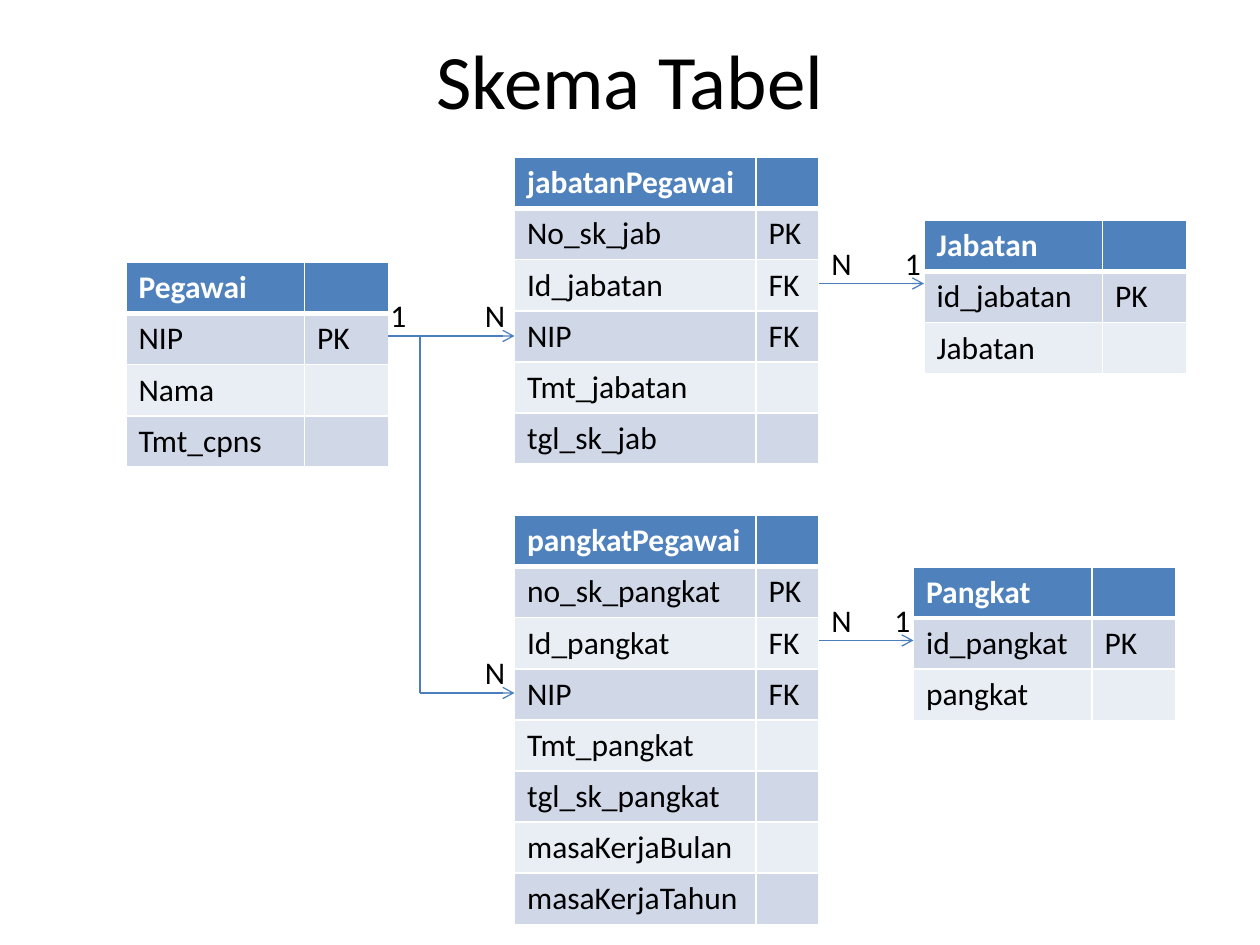
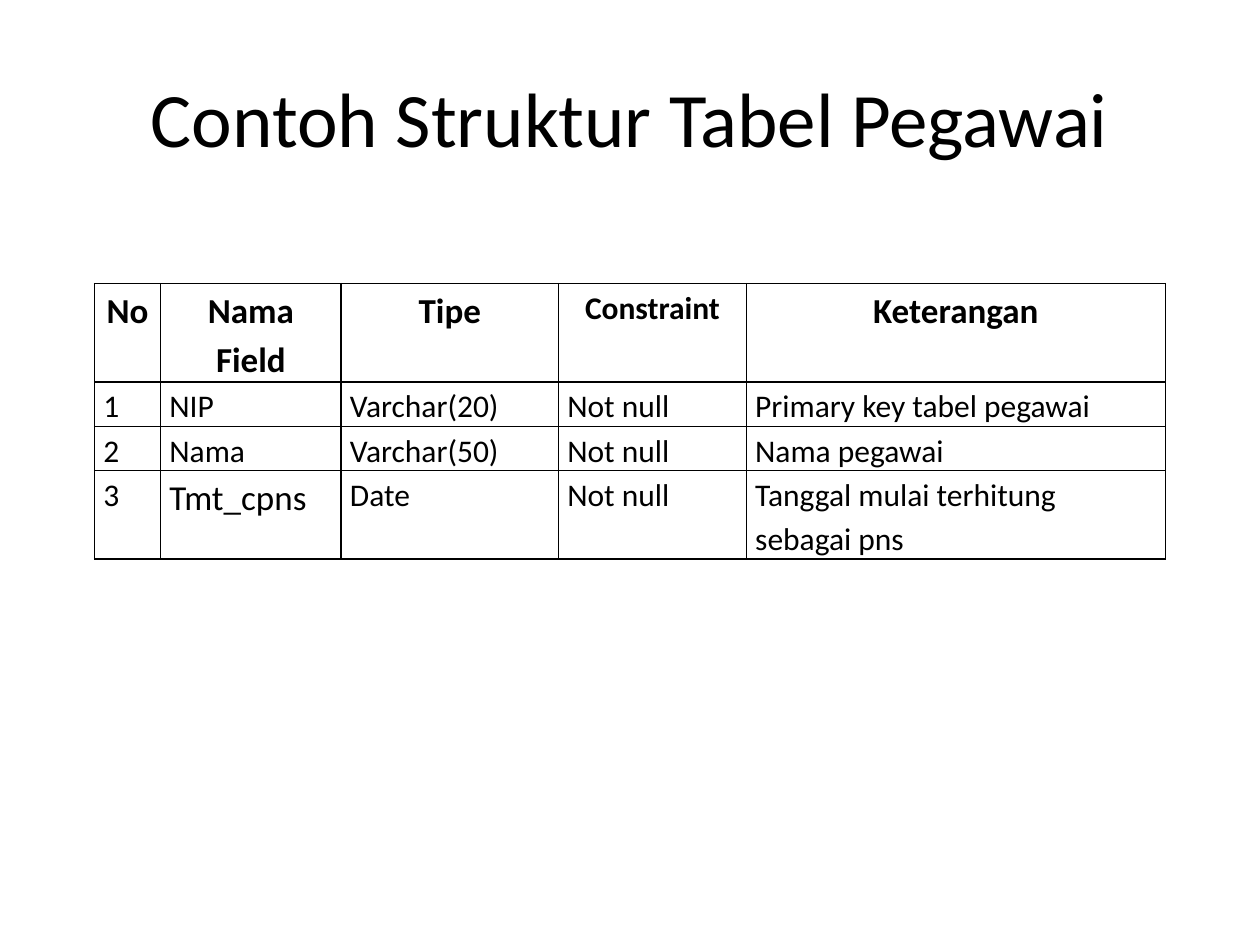
import dataclasses

import pptx
import pptx.dml.color
import pptx.enum.shapes
import pptx.enum.text
import pptx.oxml
import pptx.oxml.ns
import pptx.util

RGB = pptx.dml.color.RGBColor.from_string
ALIGN = pptx.enum.text.PP_ALIGN
MIDDLE = pptx.enum.text.MSO_ANCHOR.MIDDLE


@dataclasses.dataclass(frozen=True)
class Theme:
    font: str = "Calibri"
    ink: str = "000000"
    paper: str = "FFFFFF"
    header: str = "4F81BD"
    bands: tuple = ("D0D8E8", "E9EDF4")
    link: str = "4B7EBC"
    title_size: int = 44
    heading_size: int = 20
    body_size: int = 18
    link_width: float = 0.75
    border: int = 1
    header_border: int = 3


THEME = Theme()
ROW_HEIGHT = 4.86  # one entity row, in grid units
LABEL_WIDTH, LABEL_HEIGHT = 3, 4

# Entities: left, top, column widths, rows (the first row is the header)
ENTITIES = [
    (12, 25, (17, 8), [("Pegawai", ""), ("NIP", "PK"), ("Nama", ""), ("Tmt_cpns", "")]),
    (49, 15, (23, 6), [("jabatanPegawai", ""), ("No_sk_jab", "PK"), ("Id_jabatan", "FK"),
                       ("NIP", "FK"), ("Tmt_jabatan", ""), ("tgl_sk_jab", "")]),
    (49, 49.1, (23, 6), [("pangkatPegawai", ""), ("no_sk_pangkat", "PK"),
                         ("Id_pangkat", "FK"), ("NIP", "FK"), ("Tmt_pangkat", ""),
                         ("tgl_sk_pangkat", ""), ("masaKerjaBulan", ""),
                         ("masaKerjaTahun", "")]),
    (88, 21, (17, 8), [("Jabatan", ""), ("id_jabatan", "PK"), ("Jabatan", "")]),
    (87, 54, (17, 8), [("Pangkat", ""), ("id_pangkat", "PK"), ("pangkat", "")]),
]

# Relations: start column, end column, row, {label column: cardinality}
RELATIONS = [
    (37, 49, 32, {36: "1", 45: "N"}),
    (40, 49, 66, {45: "N"}),
    (78, 88, 27, {78: "N", 85: "1"}),
    (78, 87, 61, {78: "N", 84: "1"}),
]
BRANCH_COLUMN, BRANCH_TOP, BRANCH_BOTTOM = 40, 32, 66

FIELD_WIDTHS = (6.3, 17.2, 20.7, 17.9, 39.9)
FIELD_HEIGHTS = (9.36, 4.2, 4.2, 8.4)
FIELD_ROWS = [
    ("No", "Nama Field", "Tipe", "Constraint", "Keterangan"),
    ("1", "NIP", "Varchar(20)", "Not null", "Primary key tabel pegawai"),
    ("2", "Nama", "Varchar(50)", "Not null", "Nama pegawai"),
    ("3", "Tmt_cpns", "Date", "Not null", "Tanggal mulai terhitung sebagai pns"),
]


def grid(units):
    """Length on a grid of 120 columns by 90 rows, twelve to the inch."""
    return pptx.util.Inches(units / 12)


def assign(target, formats):
    for name, value in formats.items():
        setattr(target, name, value)


def write(frame, text, size=THEME.body_size, color=THEME.ink, bold=False, **paragraph_format):
    paragraph = frame.paragraphs[0]
    assign(paragraph, paragraph_format)
    if text:
        run = paragraph.add_run()
        run.text = text
        assign(run.font, {"name": THEME.font, "size": pptx.util.Pt(size), "bold": bold})
        run.font.color.rgb = RGB(color)


def add_titled_slide(deck, title, top):
    slide = deck.slides.add_slide(deck.slide_layouts[5])
    heading = slide.shapes.title
    assign(heading, {"left": grid(6), "top": grid(top), "width": grid(108), "height": grid(15)})
    heading.text_frame.vertical_anchor = MIDDLE
    write(heading.text_frame, title, THEME.title_size, alignment=ALIGN.CENTER)
    return slide


def set_borders(cell, color, bottom=THEME.border):
    sides = {"lnL": THEME.border, "lnR": THEME.border, "lnT": THEME.border, "lnB": bottom}
    for order, (side, width) in enumerate(sides.items()):
        border = pptx.oxml.parse_xml(
            f'<a:{side} {pptx.oxml.ns.nsdecls("a")} w="{pptx.util.Pt(width)}">'
            f'<a:solidFill><a:srgbClr val="{color}"/></a:solidFill></a:{side}>')
        cell._tc.get_or_add_tcPr().insert(order, border)


def add_grid_table(slide, left, top, widths, heights):
    table = slide.shapes.add_table(
        len(heights), len(widths), grid(left), grid(top),
        grid(sum(widths)), grid(sum(heights))).table
    assign(table, {"first_row": False, "horz_banding": False})
    for column, width in zip(table.columns, widths):
        column.width = grid(width)
    for row, height in zip(table.rows, heights):
        row.height = grid(height)
    return table


def add_entity(slide, left, top, widths, rows):
    table = add_grid_table(slide, left, top, widths, [ROW_HEIGHT] * len(rows))
    for r, values in enumerate(rows):
        is_header = r == 0
        fill = THEME.header if is_header else THEME.bands[(r - 1) % 2]
        for c, value in enumerate(values):
            cell = table.cell(r, c)
            cell.fill.solid()
            cell.fill.fore_color.rgb = RGB(fill)
            set_borders(cell, THEME.paper, THEME.header_border if is_header else THEME.border)
            write(cell.text_frame, value, bold=is_header,
                  color=THEME.paper if is_header else THEME.ink)


def add_link(slide, start, end, arrow=True):
    link = slide.shapes.add_connector(
        pptx.enum.shapes.MSO_CONNECTOR.STRAIGHT, *map(grid, start + end))
    link.line.color.rgb = RGB(THEME.link)
    link.line.width = pptx.util.Pt(THEME.link_width)
    namespace = pptx.oxml.ns.nsdecls("a")
    if arrow:
        link.line._get_or_add_ln().append(
            pptx.oxml.parse_xml(f'<a:tailEnd {namespace} type="arrow"/>'))
    link._element.spPr.append(pptx.oxml.parse_xml(f"<a:effectLst {namespace}/>"))


def add_cardinality(slide, text, column, link_row):
    """Label that stands on its relation line."""
    label = slide.shapes.add_textbox(grid(column), grid(link_row - LABEL_HEIGHT),
                                     grid(LABEL_WIDTH), grid(LABEL_HEIGHT))
    assign(label.text_frame, {"word_wrap": True, "vertical_anchor": MIDDLE})
    write(label.text_frame, text, alignment=ALIGN.CENTER)


def add_field_table(slide):
    table = add_grid_table(slide, 9, 27, FIELD_WIDTHS, FIELD_HEIGHTS)
    inset = pptx.util.Inches(0.07)
    margins = {"margin_left": inset, "margin_right": inset, "margin_top": 0, "margin_bottom": 0}
    for r, values in enumerate(FIELD_ROWS):
        is_header = r == 0
        for c, value in enumerate(values):
            cell = table.cell(r, c)
            large = value == "Tmt_cpns" or (is_header and value != "Constraint")
            assign(cell, margins)
            cell.fill.background()
            set_borders(cell, THEME.ink)
            write(cell.text_frame, value, THEME.heading_size if large else THEME.body_size,
                  bold=is_header, line_spacing=1.15,
                  alignment=ALIGN.CENTER if is_header else ALIGN.LEFT)


def main():
    deck = pptx.Presentation()
    assign(deck, {"slide_width": grid(120), "slide_height": grid(90)})

    # Table schema with its relations
    schema = add_titled_slide(deck, "Skema Tabel", top=0)
    for entity in ENTITIES:
        add_entity(schema, *entity)
    add_link(schema, (BRANCH_COLUMN, BRANCH_TOP), (BRANCH_COLUMN, BRANCH_BOTTOM), arrow=False)
    for start, end, row, cardinalities in RELATIONS:
        add_link(schema, (start, row), (end, row))
        for column, text in cardinalities.items():
            add_cardinality(schema, text, column, row)

    # Field list of one table
    structure = add_titled_slide(deck, "Contoh Struktur Tabel Pegawai", top=3.6)
    add_field_table(structure)

    deck.save("out.pptx")


if __name__ == "__main__":
    main()
